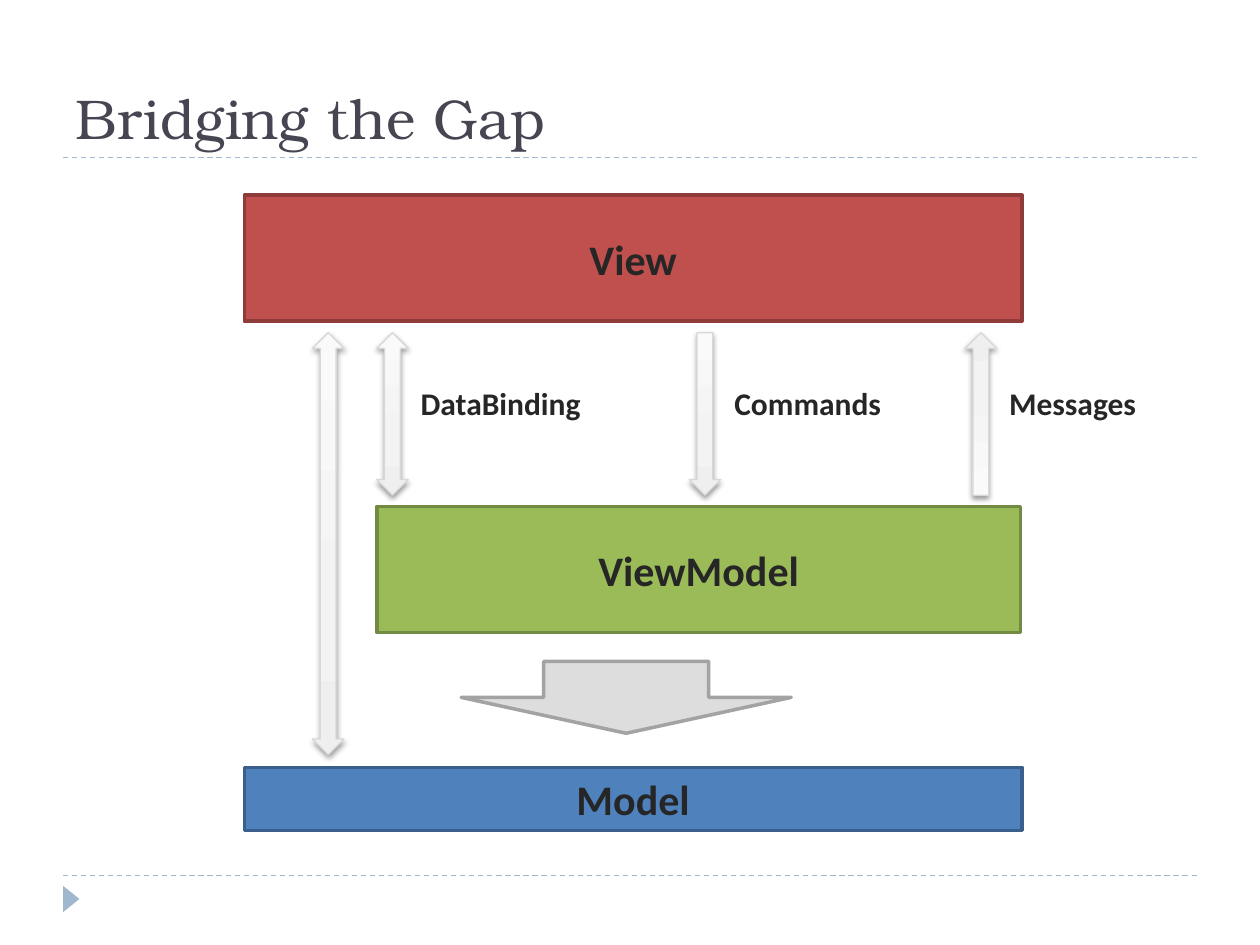
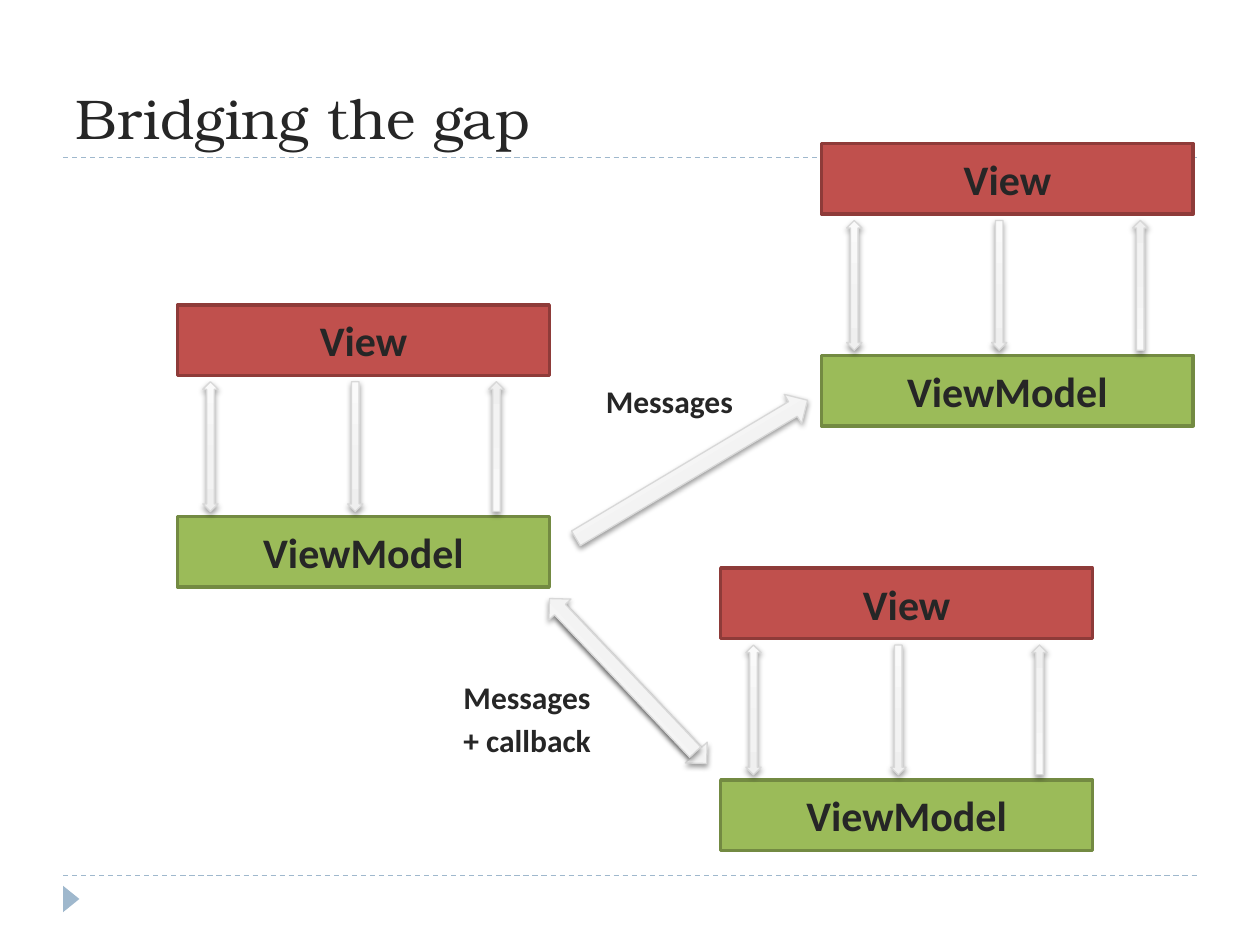
from lxml import etree
from pptx import Presentation
from pptx import util as u
from pptx.dml.color import RGBColor
from pptx.enum import dml, shapes, text
from pptx.oxml.ns import qn

PX = 9144  # EMU per px, 100 px to the inch
COLORS = {"title": "464653", "ink": "262626", "rule": "9FB8CD", "shadow": "000000"}
# fill, outline, outline width in points
STYLES = {
    "view": ("C0504D", "8E3B39", 2),
    "viewmodel": ("9BBB59", "738A42", 2),
    "model": ("4F81BD", "3A5F8C", 2),
    "flow": ("DDDDDD", "A3A3A3", 2),
    "marker": ("9FB8CD", None, 0),
    "arrow": (None, "D8D8D8", 0.75),
}
ARROW_STOPS = [(0, "EFEFEF"), (35, "F3F3F3"), (100, "FAFAFA")]
TITLE_FONT, BODY_FONT = "TeX Gyre Bonum", "Calibri"
KIND = shapes.MSO_SHAPE
# the three links between a view and its view model: shape, flips
LINKS = [(KIND.UP_DOWN_ARROW, ""), (KIND.DOWN_ARROW, ""), (KIND.DOWN_ARROW, "V")]


def write(frame, caption, size, color="ink", font=BODY_FONT, bold=True, align=text.PP_ALIGN.LEFT):
    frame.text = caption
    para = frame.paragraphs[0]
    para.alignment = align
    span = para.runs[0].font
    span.name, span.size, span.bold = font, u.Pt(size), bold
    span.color.rgb = RGBColor.from_string(COLORS[color])


def draw(target, kind, at, style, caption="", rotation=0, flips=""):
    shape = target.add_shape(kind, *[n * PX for n in at])
    shape.rotation = rotation
    shape.shadow.inherit = False
    properties = shape.element.spPr
    for axis in flips:
        properties.xfrm.set("flip" + axis, "1")
    fill, outline, width = STYLES[style]
    if outline:
        shape.line.color.rgb = RGBColor.from_string(outline)
        shape.line.width = u.Pt(width)
    else:
        shape.line.fill.background()
    if fill:
        shape.fill.solid()
        shape.fill.fore_color.rgb = RGBColor.from_string(fill)
    else:
        # three-stop gradient running upwards, with a soft shadow below
        shape.fill.gradient()
        properties.find(".//" + qn("a:lin")).set("ang", str(270 * 60000))
        stops = properties.find(".//" + qn("a:gsLst"))
        stops[:] = []
        for percent, color in ARROW_STOPS:
            stop = etree.SubElement(stops, qn("a:gs"), pos=str(percent * 1000))
            etree.SubElement(stop, qn("a:srgbClr"), val=color)
        effects = properties.find(qn("a:effectLst"))
        shadow = etree.SubElement(effects, qn("a:outerShdw"), blurRad="40000", dist="20000",
                                  dir=str(90 * 60000), rotWithShape="0")
        tint = etree.SubElement(shadow, qn("a:srgbClr"), val=COLORS["shadow"])
        etree.SubElement(tint, qn("a:alpha"), val="38000")
    if caption:
        shape.text_frame.vertical_anchor = text.MSO_ANCHOR.MIDDLE
        write(shape.text_frame, caption, 24, align=text.PP_ALIGN.CENTER)


deck = Presentation()
deck.slide_width, deck.slide_height = 1000 * PX, 750 * PX

# Shared frame: title, dashed rules, corner marker
pages = []
for heading, heading_color in [("Bridging the Gap", "title"), ("Bridging the gap", "ink")]:
    page = deck.slides.add_slide(deck.slide_layouts[5])
    pages.append(page)
    title = page.shapes.title
    title.left, title.top, title.width, title.height = [n * PX for n in (50, 17, 900, 108)]
    title.text_frame.vertical_anchor = text.MSO_ANCHOR.BOTTOM
    write(title.text_frame, heading, 32, heading_color, TITLE_FONT, bold=False)
    for y in (695, 125):
        rule = page.shapes.add_connector(shapes.MSO_CONNECTOR.STRAIGHT, 50 * PX, y * PX, 950 * PX, y * PX)
        rule.line.color.rgb = RGBColor.from_string(COLORS["rule"])
        rule.line.width = u.Pt(0.75)
        rule.line.dash_style = dml.MSO_LINE.DASH
        etree.SubElement(rule.element.spPr, qn("a:effectLst"))
    draw(page.shapes, KIND.ISOSCELES_TRIANGLE, (46, 707, 21, 13), "marker", rotation=90)
layers_page, messages_page = pages

# Slide 1: the three layers and what passes between them
layers = layers_page.shapes
draw(layers, KIND.RECTANGLE, (194, 155, 617, 100), "view", "View")
draw(layers, KIND.RECTANGLE, (299, 402, 511, 100), "viewmodel", "ViewModel")
for x, (kind, flips) in zip((299, 547, 766), LINKS):
    draw(layers, kind, (x, 264, 25, 129), "arrow", flips=flips)
draw(layers, KIND.DOWN_ARROW, (366, 525, 262, 57), "flow")
draw(layers, KIND.RECTANGLE, (194, 609, 617, 50), "model", "Model")
draw(layers, KIND.UP_DOWN_ARROW, (248, 264, 25, 335), "arrow")

# Slide 2: three view and view model pairs
for left, top in [(141, 242), (572, 451), (652, 114)]:
    pair = messages_page.shapes.add_group_shape().shapes
    draw(pair, KIND.RECTANGLE, (left, top, 295, 56), "view", "View")
    draw(pair, KIND.RECTANGLE, (left, top + 168, 295, 56), "viewmodel", "ViewModel")
    for offset, (kind, flips) in zip((20, 135, 247), LINKS):
        draw(pair, kind, (left + offset, top + 61, 12, 103), "arrow", flips=flips)

# Slide 2: messages between the pairs
for at, rotation, flips in [
    ((419, 533, 168, 24), 46.5, ""),
    ((442, 359, 214, 27), 329.2, ""),
    ((410, 524, 168, 24), 46.5, "HV"),
]:
    draw(messages_page.shapes, KIND.RIGHT_ARROW, at, "arrow", rotation=rotation, flips=flips)

# Labels beside the arrows
for page, caption, left, top, width in [
    (layers_page, "DataBinding", 324, 300, 166),
    (layers_page, "Commands", 573, 300, 157),
    (layers_page, "Messages", 791, 300, 129),
    (messages_page, "Messages", 471, 298, 129),
    (messages_page, "Messages", 358, 533, 129),
    (messages_page, "+ callback", 358, 567, 136),
]:
    label = page.shapes.add_textbox(left * PX, top * PX, width * PX, 40 * PX).text_frame
    label.word_wrap = False
    label.auto_size = text.MSO_AUTO_SIZE.SHAPE_TO_FIT_TEXT
    write(label, caption, 18)

deck.save("out.pptx")
